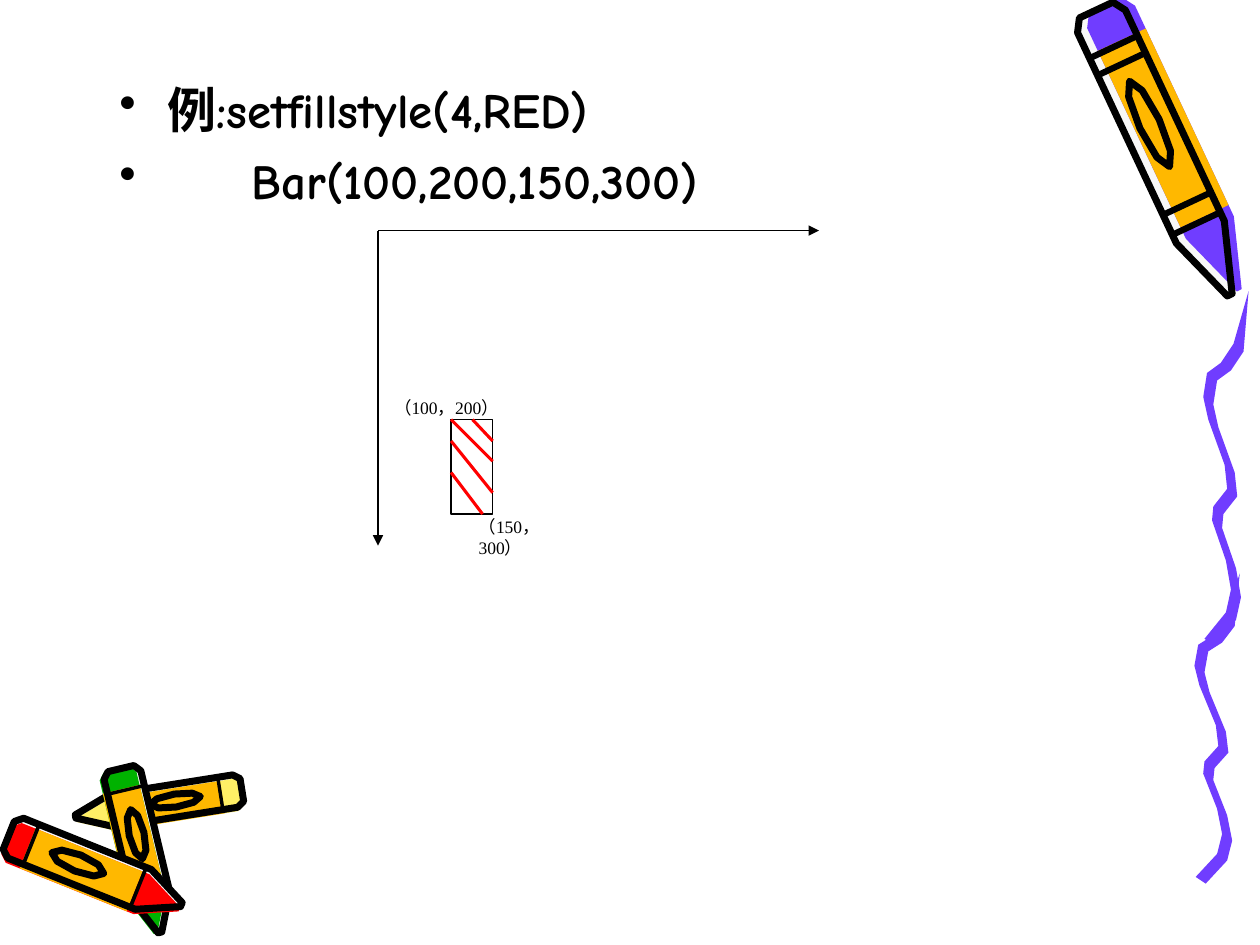
import math
from dataclasses import dataclass

from lxml import etree
from pptx import Presentation
from pptx import util as u
from pptx.dml import color
from pptx.enum import shapes, text
from pptx.oxml import ns


@dataclass(frozen=True)
class Theme:
    black: str = "000000"
    white: str = "F8F8F8"
    purple: str = "703DFF"
    orange: str = "FFB800"
    yellow: str = "FFEF66"
    red: str = "FF0000"
    green: str = "00B200"
    body_font: str = "Comic Neue"
    label_font: str = "Times New Roman"
    body_size: float = 28
    label_size: float = 10
    body_gap: float = 7
    axis_width: float = 0.75
    hatch_width: float = 1.75
    crayon_width: float = 4


THEME = Theme()
SHOULDER = 0.78
BODY_START = 0.12
BODY_END = 0.74
SQUIGGLE_HEIGHT = 2.84
SQUIGGLE = [
    (0.27, 0.45), (0.17, 0.6), (0.06, 0.68), (0.03, 0.87), (0.07, 1.05), (0.2, 1.41), (0.22, 1.6),
    (0.11, 1.74), (0.1, 1.85), (0.21, 2.17), (0.25, 2.4), (0.21, 2.58), (0.04, 2.79),
]


def paint(part, ink):
    part.solid()
    part.fore_color.rgb = color.RGBColor.from_string(ink)


def add_outline(parent, points, fill=None, line_width=None):
    corners = [(u.Inches(x), u.Inches(y)) for x, y in points]
    builder = parent.build_freeform(*corners[0])
    builder.add_line_segments(corners[1:], close=True)
    shape = builder.convert_to_shape()
    shape.shadow.inherit = False
    if fill:
        paint(shape.fill, fill)
    else:
        shape.fill.background()
    if line_width:
        paint(shape.line.fill, THEME.black)
        shape.line.width = u.Pt(line_width)
    else:
        shape.line.fill.background()


def add_line(parent, left, top, ends, ink, width, arrow=False):
    x1, y1, x2, y2 = ends
    line = parent.add_connector(shapes.MSO_CONNECTOR.STRAIGHT, u.Inches(left + x1), u.Inches(top + y1),
                                u.Inches(left + x2), u.Inches(top + y2))
    paint(line.line.fill, ink)
    line.line.width = u.Pt(width)
    if arrow:
        etree.SubElement(line.line._get_or_add_ln(), ns.qn("a:tailEnd"), type="triangle")
    etree.SubElement(line._element.spPr, ns.qn("a:effectLst"))


def add_text_box(parent, left, top, width, height):
    box = parent.add_textbox(u.Inches(left), u.Inches(top), u.Inches(width), u.Inches(height))
    box.text_frame.word_wrap = True
    box.text_frame.vertical_anchor = text.MSO_ANCHOR.TOP
    return box.text_frame


def add_run(paragraph, words, font, size, bold=False):
    run = paragraph.add_run()
    run.text = words
    run.font.name = font
    run.font.size = u.Pt(size)
    run.font.bold = bold
    paint(run.font.fill, THEME.black)


def add_crayon(slide, tail, tip, width, ink, bands, shift):
    group = slide.shapes.add_group_shape().shapes
    run, rise = tip[0] - tail[0], tip[1] - tail[1]
    length = math.hypot(run, rise)

    def place(profile, offset=0):
        return [(tail[0] + along * run + (across + offset) * width * rise / length,
                 tail[1] + along * rise - (across + offset) * width * run / length)
                for along, across in profile]

    def strip(start, end):
        return [(start, -0.5), (end, -0.5), (end, 0.5), (start, 0.5)]

    side = [(0, 0.35), (0.04, 0.5), (SHOULDER, 0.5), (1, 0.05)]
    silhouette = side + [(along, -across) for along, across in reversed(side)]
    angles = [math.pi * step / 4 for step in range(8)]
    oval = [(0.4 + 0.15 * math.cos(angle), 0.2 * math.sin(angle)) for angle in angles]

    add_outline(group, place(silhouette), THEME.white)
    add_outline(group, place(silhouette, shift), ink)
    add_outline(group, place(strip(BODY_START, BODY_END), shift), THEME.orange)
    for start in bands:
        add_outline(group, place(strip(start, start + 0.02)), THEME.black)
    add_outline(group, place(oval), line_width=THEME.crayon_width)
    add_outline(group, place(silhouette), line_width=THEME.crayon_width)


def add_small_crayons(slide, left, top):
    crayons = [
        ((1.92, 0.27), (0.6, 0.48), 0.26, THEME.yellow, 0.12),
        ((0.96, 0.1), (1.27, 1.4), 0.3, THEME.green, -0.12),
        ((0.07, 0.63), (1.44, 1.18), 0.34, THEME.red, -0.12),
    ]
    for tail, tip, width, ink, shift in crayons:
        add_crayon(slide, (left + tail[0], top + tail[1]), (left + tip[0], top + tip[1]), width, ink,
                   (BODY_START, BODY_END), shift)


def add_large_crayon(slide, left, top, width, height):
    add_crayon(slide, (left, top), (left + width, top + height), 0.42, THEME.purple,
               (BODY_START, 0.18, 0.67, BODY_END), 0.2)


def add_squiggles(slide, boxes):
    group = slide.shapes.add_group_shape().shapes
    for left, top, height in boxes:
        stretch = height / SQUIGGLE_HEIGHT
        upper, lower = [[(left + x + sign * 0.04, top + (y + sign * 0.03) * stretch) for x, y in SQUIGGLE]
                        for sign in (-1, 1)]
        add_outline(group, [(left + 0.35, top)] + upper + lower[::-1], THEME.purple)


def add_code(slide, left, top, width, height):
    frame = add_text_box(slide.shapes, left, top, width, height)
    lines = [("例:setfillstyle(4,RED)", 0.38), ("Bar(100,200,150,300)", 1.05)]
    for index, (words, indent) in enumerate(lines):
        paragraph = frame.paragraphs[0] if index == 0 else frame.add_paragraph()
        paragraph.space_before = u.Pt(THEME.body_gap)
        properties = paragraph._p.get_or_add_pPr()
        properties.set("marL", str(u.Inches(indent)))
        properties.set("indent", str(-u.Inches(indent)))
        etree.SubElement(properties, ns.qn("a:buChar"), char="•")
        add_run(paragraph, words, THEME.body_font, THEME.body_size, bold=True)


def add_bar_diagram(slide, left, top, width, height):
    group = slide.shapes.add_group_shape().shapes
    for ends in [(0, 0, width, 0), (0, 0, 0, height)]:
        add_line(group, left, top, ends, THEME.black, THEME.axis_width, arrow=True)

    bar_left, bar_top = left + 0.58, top + 1.5
    bar = group.add_shape(shapes.MSO_SHAPE.RECTANGLE, u.Inches(bar_left), u.Inches(bar_top),
                          u.Inches(0.33), u.Inches(0.75))
    bar.shadow.inherit = False
    bar.fill.background()
    paint(bar.line.fill, THEME.black)
    bar.line.width = u.Pt(THEME.axis_width)
    for ends in [(0.17, 0, 0.33, 0.17), (0, 0, 0.33, 0.33), (0, 0.17, 0.33, 0.58), (0, 0.42, 0.25, 0.75)]:
        add_line(group, bar_left, bar_top, ends, THEME.red, THEME.hatch_width)

    labels = [("（100，200）", 0.03, 1.27, 1.5, 0.27), ("（150，300）", 0.7, 2.22, 0.92, 0.44)]
    for words, x, y, label_width, label_height in labels:
        frame = add_text_box(group, left + x, top + y, label_width, label_height)
        add_run(frame.paragraphs[0], words, THEME.label_font, THEME.label_size)


def main():
    presentation = Presentation()
    presentation.slide_width, presentation.slide_height = u.Inches(10), u.Inches(7.5)
    slide = presentation.slides.add_slide(presentation.slide_layouts[6])
    add_small_crayons(slide, 0, 6)
    add_squiggles(slide, [(9.49, 4.55, 2.48), (9.56, 2.31, SQUIGGLE_HEIGHT)])
    add_large_crayon(slide, 8.7, 0.08, 1.06, 2.26)
    add_code(slide, 0.85, 0.58, 8.93, 6.42)
    add_bar_diagram(slide, 3, 1.83, 3.5, 2.5)
    presentation.save("out.pptx")


if __name__ == "__main__":
    main()
